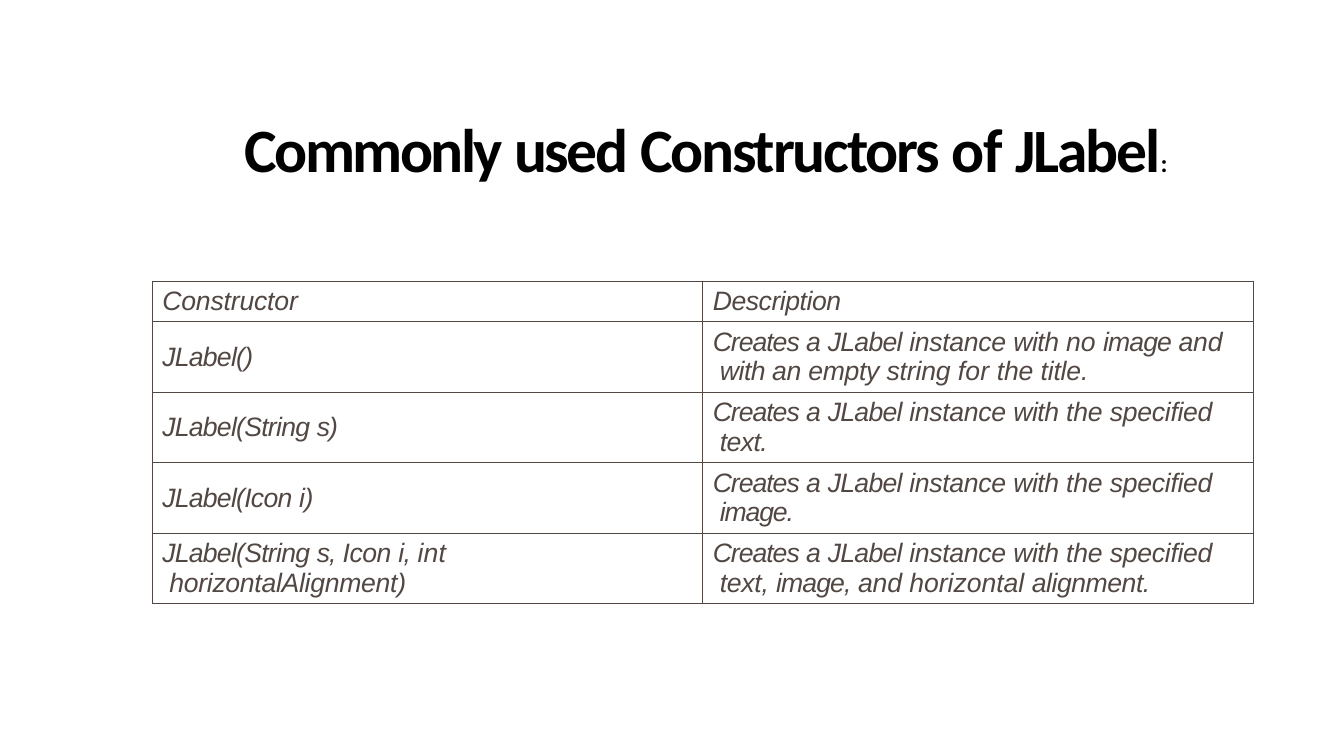
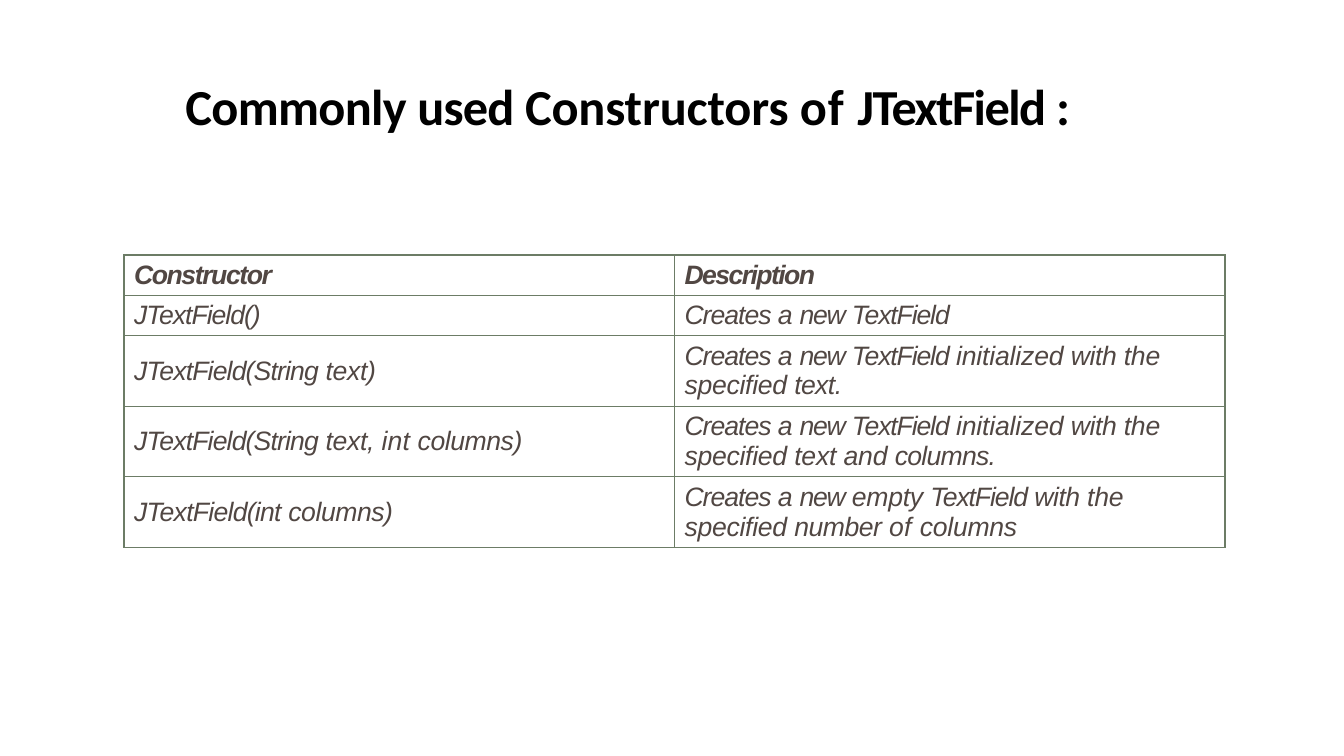
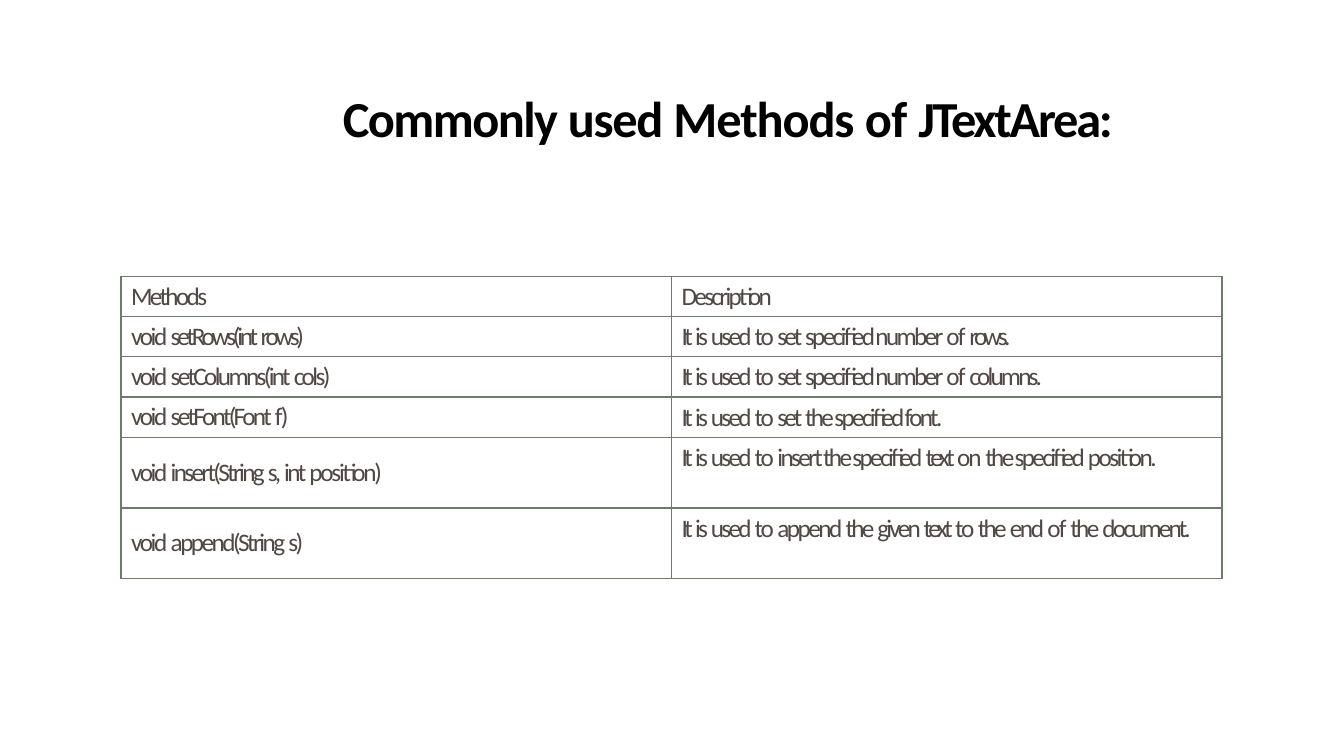
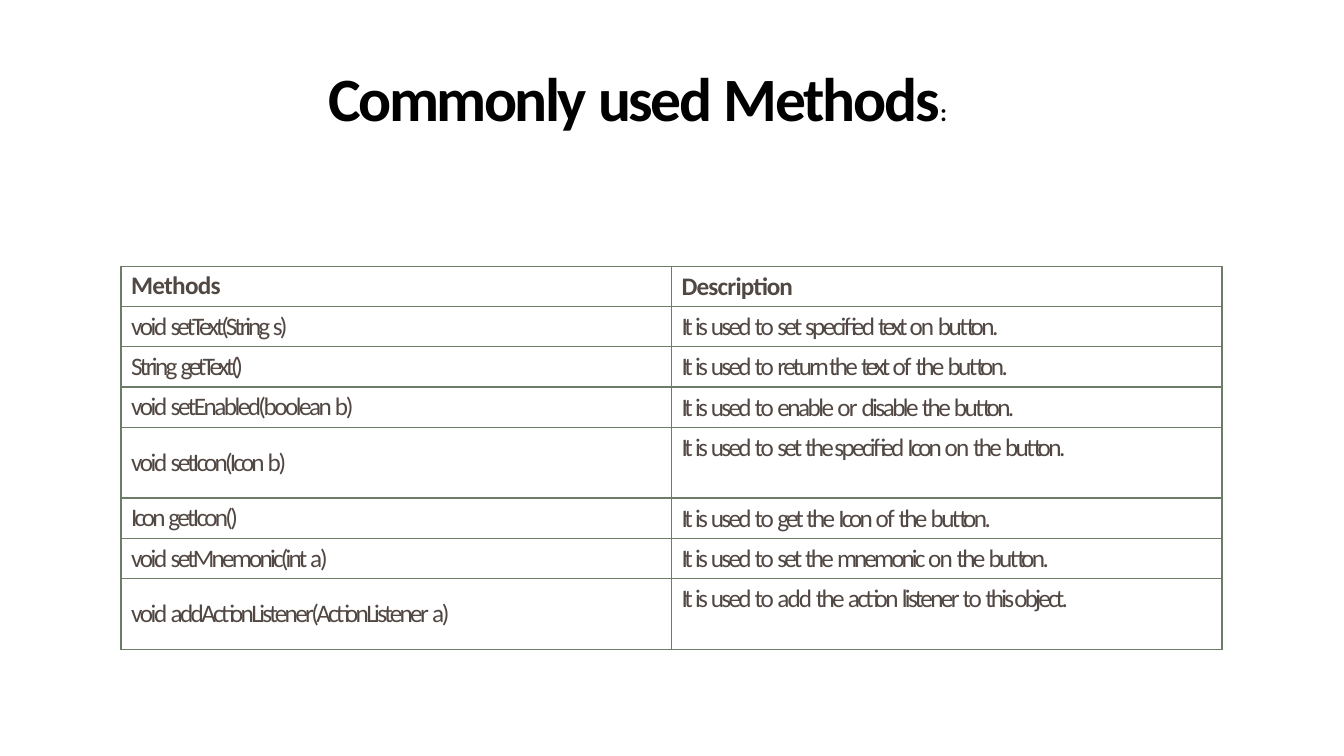
"""Four slides of constructor and method tables for Swing widgets."""
import itertools

import lxml.etree
import pptx
import pptx.dml.color
import pptx.enum.text
import pptx.oxml.ns
import pptx.util

SCALE = 9144
ANCHOR = pptx.enum.text.MSO_ANCHOR


def px(size):
    """Turn px, a hundred to the inch, into EMU."""
    return pptx.util.Emu(size * SCALE)


def track(base, groups):
    """Map each word to its letter spacing in tenths of a point."""
    words = {word: gap for gap, text in groups.items() for word in text.split()}
    return lambda word: words.get(word, base)


class Theme:
    """Colours, type sizes and letter spacing."""

    black = "000000"
    brown = "514743"
    green = "6C7C66"
    big, mid, small = 44, 36, 18
    slant = {
        "font": {"name": "Arial", "size": pptx.util.Pt(19), "italic": True},
        "anchor": (ANCHOR.MIDDLE, ANCHOR.MIDDLE),
        "track": track(-3, {
            -9: "new",
            -8: "s, s) image. TextField",
            -7: "Creates JTextField()",
            -6: "image image, JTextField(String",
            -5: "JLabel JLabel() JLabel(String JLabel(Icon i, columns. JTextField(int",
            -4: "text.",
            -2: "instance empty specified horizontalAlignment) text, text) columns",
            -1: "and string the title. initialized text",
            0: "no horizontal",
            1: "for int",
            3: "of",
        }),
    }
    plain = {
        "font": {"name": "Calibri", "size": pptx.util.Pt(18), "italic": False},
        "anchor": (ANCHOR.MIDDLE, ANCHOR.TOP),
        "track": track(-19, {
            -26: "rows.",
            -25: "It text",
            -24: "rows) getText()",
            -23: "setRows(int",
            -22: "setText(String get",
            -21: "set Icon mnemonic",
            -20: "is columns. s, given document. setIcon(Icon setMnemonic(int this object.",
            -18: "cols) int position. append(String append button. "
                 "setEnabled(boolean enable disable action",
            -17: "void end",
            -16: "to position) b) a)",
            -14: "f) on add",
            -13: "of or",
        }),
    }


class Deck:
    """Hold the style and the current slide."""

    def __init__(self, theme):
        """Start an empty deck."""
        self.theme = theme
        self.show = pptx.Presentation()
        self.show.slide_width, self.show.slide_height = px(1333), px(750)
        self.slide = None

    def page(self):
        """Add a blank slide and make it current."""
        self.slide = self.show.slides.add_slide(self.show.slide_layouts[6])

    def run(self, para, text, gap, color, font):
        """Add one run with its letter spacing in tenths of a point."""
        run = para.add_run()
        run.text = text
        for name, value in font.items():
            setattr(run.font, name, value)
        run.font.color.rgb = pptx.dml.color.RGBColor.from_string(color)
        run.font._element.set("spc", str(gap * 10))

    def words(self, para, text, gaps, color, font):
        """Write words, joining neighbours of equal spacing in one run."""
        parts = text.split(" ")
        parts = [part + " " for part in parts[:-1]] + parts[-1:]
        for gap, group in itertools.groupby(zip(gaps, parts), lambda pair: pair[0]):
            self.run(para, "".join(part for _, part in group), gap, color, font)

    def title(self, box, text, gaps, size, tail=""):
        """Add a bold title, with an optional small tail."""
        frame = self.slide.shapes.add_textbox(*map(px, box)).text_frame
        form = {"word_wrap": True, "vertical_anchor": ANCHOR.MIDDLE, "margin_left": px(1),
                "margin_top": px(1), "margin_right": 0, "margin_bottom": 0}
        for name, value in form.items():
            setattr(frame, name, value)
        para = frame.paragraphs[0]
        font = {"name": "Calibri", "size": pptx.util.Pt(size), "bold": True}
        self.words(para, text, gaps, self.theme.black, font)
        if tail:
            small = font | {"size": pptx.util.Pt(self.theme.small)}
            self.run(para, tail, gaps[-1], self.theme.black, small)

    def edge(self, cell, side, color, width):
        """Draw one border of a cell."""
        line = lxml.etree.SubElement(cell._tc.get_or_add_tcPr(), pptx.oxml.ns.qn("a:ln" + side),
                                     w=str(pptx.util.Pt(width)))
        fill = lxml.etree.SubElement(line, pptx.oxml.ns.qn("a:solidFill"))
        lxml.etree.SubElement(fill, pptx.oxml.ns.qn("a:srgbClr"), val=color)

    def cell(self, cell, text, look, anchor, bold=False, gap=None, hang=0):
        """Fill a cell with tracked text."""
        form = {"margin_left": px(10), "margin_right": 0, "margin_bottom": 0,
                "margin_top": px(5) if anchor == ANCHOR.TOP else 0, "vertical_anchor": anchor}
        for name, value in form.items():
            setattr(cell, name, value)
        cell.fill.background()
        para = cell.text_frame.paragraphs[0]
        props = para._p.get_or_add_pPr()
        props.set("marL", str(px(hang)))
        props.set("indent", str(px(-hang)))
        for row, line in enumerate(text.split("\v")):
            if row:
                para.add_line_break()
            gaps = [look["track"](word) if gap is None else gap for word in line.split(" ")]
            self.words(para, line, gaps, self.theme.brown, look["font"] | {"bold": bold})

    def table(self, left, top, rows, tall, look, color, bold=False, heads=(0, 0), hang=0,
              thick=None):
        """Add a two-column table; tall names the higher rows, thick a heavier rule."""
        highs = [70 if row in tall else 40 for row in range(len(rows))]
        grid = self.slide.shapes.add_table(len(rows), 2, px(left), px(top), px(1092),
                                           px(sum(highs))).table
        grid.first_row = grid.horz_banding = False
        for row, (high, texts) in enumerate(zip(highs, rows)):
            grid.rows[row].height = px(high)
            for col, text in enumerate(texts):
                cell = grid.cell(row, col)
                for side, rule in zip("LRTB", (None, None, row, row + 1)):
                    heavy = thick is not None and rule == thick
                    self.edge(cell, side, color, 1.5 if heavy else 1)
                head = row == 0
                self.cell(cell, text, look, look["anchor"][col], bold and head,
                          heads[col] if head else None, hang)


def main():
    """Build and save the slides."""
    theme = Theme()
    deck = Deck(theme)

    deck.page()
    deck.table(151, 279, [
        ("Constructor", "Description"),
        ("JLabel()", "Creates a JLabel instance with no image and with an empty string "
                     "for the title."),
        ("JLabel(String s)", "Creates a JLabel instance with the specified text."),
        ("JLabel(Icon i)", "Creates a JLabel instance with the specified image."),
        ("JLabel(String s, Icon i, int\vhorizontalAlignment)",
         "Creates a JLabel instance with the specified text, image, and horizontal alignment."),
    ], {1, 2, 3, 4}, theme.slant, theme.brown, heads=(-1, -3), hang=7)
    deck.title((242, 109, 927, 75), "Commonly used Constructors of JLabel",
               (-19, -18, -16, -11, -16), theme.big, ":")

    deck.page()
    deck.title((183, 73, 900, 62), "Commonly used Constructors of JTextField :",
               (-5, -6, -1, 7, -11, -14), theme.mid)
    deck.table(123, 253, [
        ("Constructor", "Description"),
        ("JTextField()", "Creates a new TextField"),
        ("JTextField(String text)",
         "Creates a new TextField initialized with the\vspecified text."),
        ("JTextField(String text, int columns)",
         "Creates a new TextField initialized with the\vspecified text and columns."),
        ("JTextField(int columns)",
         "Creates a new empty TextField with the\vspecified number of columns"),
    ], {2, 3, 4}, theme.slant, theme.green, True, (-10, -11))

    deck.page()
    deck.title((339, 85, 796, 62), "Commonly used Methods of JTextArea:",
               (-11, -10, -8, -4, -16), theme.mid)
    deck.table(120, 274, [
        ("Methods", "Description"),
        ("void setRows(int rows)", "It is used to set specified number of rows."),
        ("void setColumns(int cols)", "It is used to set specified number of columns."),
        ("void setFont(Font f)", "It is used to set the specified font."),
        ("void insert(String s, int position)",
         "It is used to insert the specified text on the specified position."),
        ("void append(String s)",
         "It is used to append the given text to the end of the document."),
    ], {4, 5}, theme.plain, theme.green, heads=(-19, -19), thick=3)

    deck.page()
    deck.title((325, 58, 630, 75), "Commonly used Methods", (-19, -18, -16), theme.big, ":")
    deck.table(120, 264, [
        ("Methods", "Description"),
        ("void setText(String s)", "It is used to set specified text on button."),
        ("String getText()", "It is used to return the text of the button."),
        ("void setEnabled(boolean b)", "It is used to enable or disable the button."),
        ("void setIcon(Icon b)", "It is used to set the specified Icon on the button."),
        ("Icon getIcon()", "It is used to get the Icon of the button."),
        ("void setMnemonic(int a)", "It is used to set the mnemonic on the button."),
        ("void addActionListener(ActionListener a)",
         "It is used to add the action listener to this object."),
    ], {4, 7}, theme.plain, theme.green, True, (-5, -6))

    deck.show.save("out.pptx")


if __name__ == "__main__":
    main()
